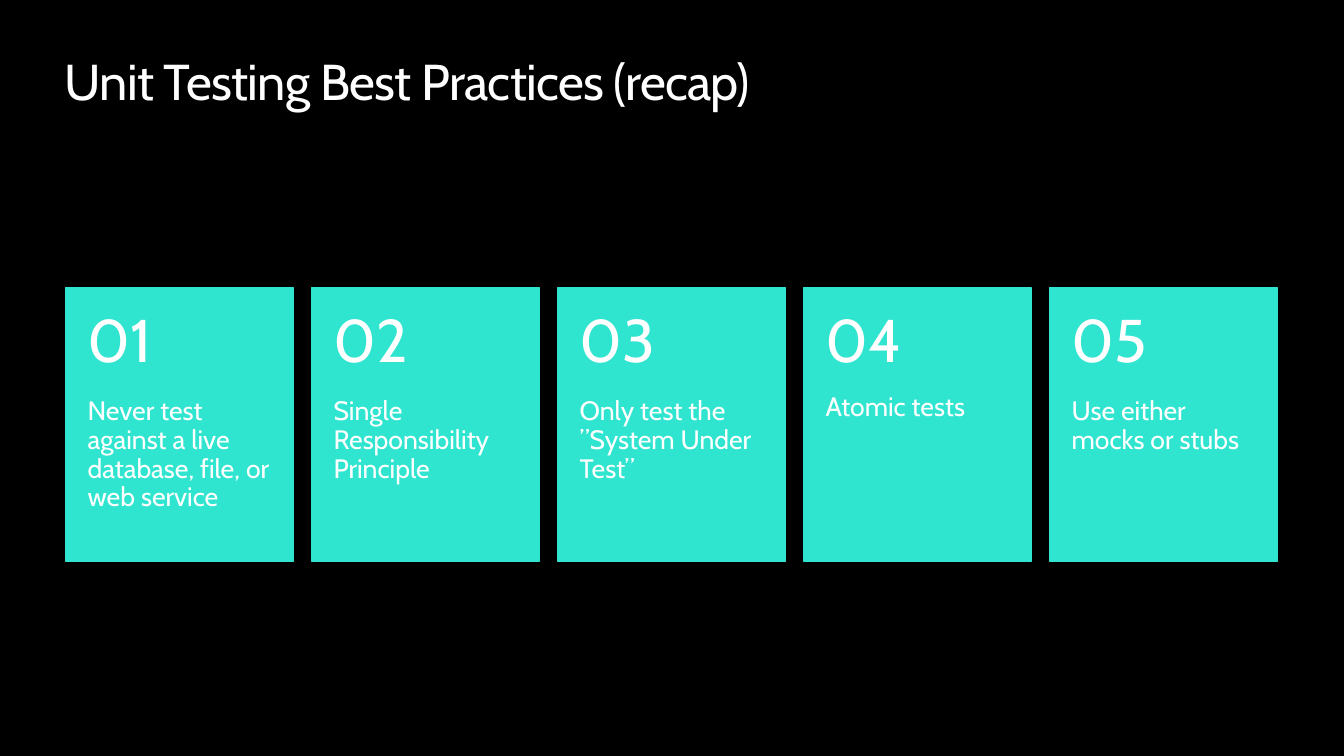
from dataclasses import dataclass

from pptx import Presentation
from pptx.dml.color import RGBColor
from pptx.enum.shapes import MSO_SHAPE as Shape
from pptx.enum.text import MSO_ANCHOR as Anchor
from pptx.util import Cm, Pt


@dataclass(frozen=True)
class Theme:
    font: str = "Cabin"
    background: RGBColor = RGBColor(0x00, 0x00, 0x00)
    card: RGBColor = RGBColor(0x30, 0xE5, 0xD0)
    text: RGBColor = RGBColor(0xFF, 0xFF, 0xFF)
    title_size: float = 36
    number_size: float = 43
    body_size: float = 19
    card_line: float = 0.85


PRACTICES = [
    "Never test against a live database, file, or web service",
    "Single Responsibility Principle",
    "Only test the ”System Under Test”",
    "Atomic tests",
    "Use either mocks or stubs",
]

CARD_LEFT, CARD_TOP, CARD_WIDTH, CARD_PITCH = 1.65, 7.26, 5.74, 6.2
NUMBER_HEIGHT, BODY_HEIGHT = 2.76, 4.12


class SlideBuilder:
    def __init__(self, slide, theme):
        self.slide = slide
        self.theme = theme
        fill = slide.background.fill
        fill.solid()
        fill.fore_color.rgb = theme.background

    def text(self, words, bounds, size, insets=(0, 0, 0, 0),
             anchor=Anchor.TOP, line_spacing=1.0, tracking=None):
        """Add one line of wording; bounds and insets are in cm, tracking in 1/100 pt."""
        box = self.slide.shapes.add_textbox(*map(Cm, bounds))
        frame = box.text_frame
        frame.word_wrap = True
        frame.vertical_anchor = anchor
        (frame.margin_left, frame.margin_top,
         frame.margin_right, frame.margin_bottom) = map(Cm, insets)
        para = frame.paragraphs[0]
        para.line_spacing = line_spacing
        span = para.add_run()
        span.text = words
        span.font.name = self.theme.font
        span.font.size = Pt(size)
        span.font.color.rgb = self.theme.text
        if tracking is not None:
            span.font._element.set("spc", str(tracking))

    def panel(self, bounds):
        panel = self.slide.shapes.add_shape(Shape.RECTANGLE, *map(Cm, bounds))
        panel.shadow.inherit = False
        panel.fill.solid()
        panel.fill.fore_color.rgb = self.theme.card
        panel.line.color.rgb = self.theme.card
        panel.line.width = Pt(self.theme.card_line)

    def card(self, number, words, left):
        self.panel((left, CARD_TOP, CARD_WIDTH, NUMBER_HEIGHT + BODY_HEIGHT))
        self.text(words, (left, CARD_TOP + NUMBER_HEIGHT, CARD_WIDTH, BODY_HEIGHT),
                  self.theme.body_size, insets=(0.56, 0, 0.56, 0.91),
                  line_spacing=0.9)
        self.text(f"{number:02}", (left, CARD_TOP, CARD_WIDTH, NUMBER_HEIGHT),
                  self.theme.number_size, insets=(0.56, 0.46, 0.56, 0.46),
                  anchor=Anchor.MIDDLE, line_spacing=0.9)


def main():
    deck = Presentation()
    deck.slide_width, deck.slide_height = Cm(33.87), Cm(19.05)
    theme = Theme()
    page = SlideBuilder(deck.slides.add_slide(deck.slide_layouts[6]), theme)
    page.text("Unit Testing Best Practices (recap)", (1.63, 1.27, 30.6, 1.55),
              theme.title_size, tracking=-50)
    for index, practice in enumerate(PRACTICES):
        page.card(index + 1, practice, CARD_LEFT + index * CARD_PITCH)
    deck.save("out.pptx")


if __name__ == "__main__":
    main()
